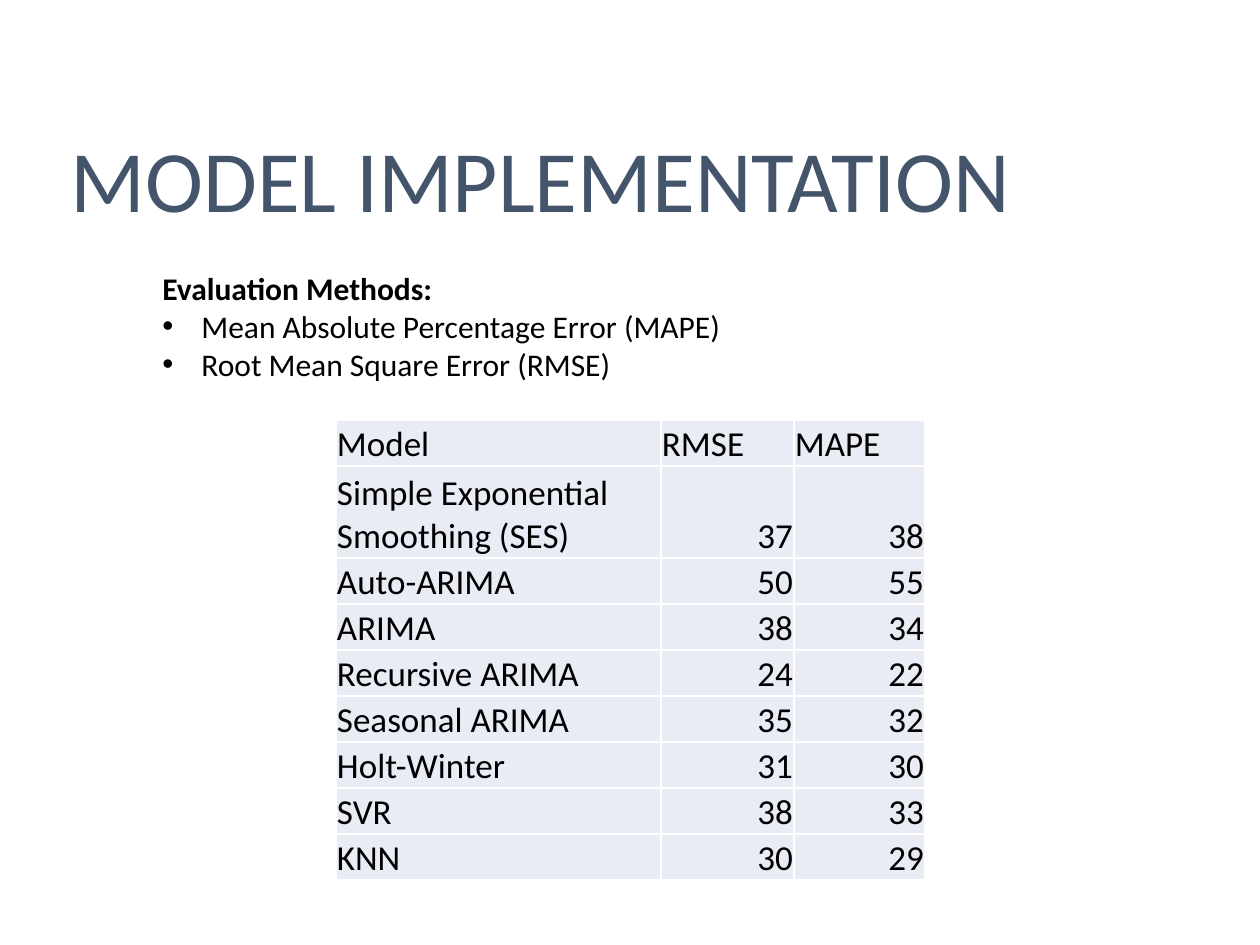
from dataclasses import dataclass

from lxml.etree import SubElement
from pptx import Presentation
from pptx.dml.color import RGBColor
from pptx.enum.text import MSO_ANCHOR, MSO_AUTO_SIZE, PP_ALIGN
from pptx.oxml.ns import qn
from pptx.util import Pt

PX_PER_INCH = 126
FONT = "Calibri"
BLACK, SLATE, WHITE, PALE_BLUE = "000000", "44546A", "FFFFFF", "E9EBF5"


@dataclass
class ModelScore:
    model: str
    rmse: int
    mape: int


SCORES = [
    ModelScore("Simple Exponential \nSmoothing (SES)", 37, 38),
    ModelScore("Auto-ARIMA", 50, 55),
    ModelScore("ARIMA", 38, 34),
    ModelScore("Recursive ARIMA", 24, 22),
    ModelScore("Seasonal ARIMA", 35, 32),
    ModelScore("Holt-Winter", 31, 30),
    ModelScore("SVR", 38, 33),
    ModelScore("KNN", 30, 29),
]
COLUMN_WIDTHS = [325, 133, 131]
LINE_HEIGHT = 46


def px(length: int) -> int:
    return round(length * 914400 / PX_PER_INCH)


def color(value: str) -> RGBColor:
    return RGBColor.from_string(value)


def write(para, text: str, *, size: int, fill: str = BLACK,
          bold: bool = False, align=PP_ALIGN.LEFT) -> None:
    para.text = text
    para.alignment = align
    for span in para.runs:
        span.font.name = FONT
        span.font.size = Pt(size)
        span.font.bold = bold
        span.font.color.rgb = color(fill)


def add_bullet(para, indent: int) -> None:
    properties = para._p.get_or_add_pPr()
    properties.set("marL", str(px(indent)))
    properties.set("indent", str(-px(indent)))
    SubElement(properties, qn("a:buFont"), typeface="Arial")
    SubElement(properties, qn("a:buChar"), char="•")


def add_title(page, text: str) -> None:
    title = page.shapes.title
    title.left, title.top, title.width, title.height = map(px, (58, 116, 1144, 157))
    frame = title.text_frame
    frame.word_wrap = True
    frame.auto_size = MSO_AUTO_SIZE.NONE
    frame.vertical_anchor = MSO_ANCHOR.TOP
    frame.margin_top = px(9)
    write(frame.paragraphs[0], text, size=50, fill=SLATE)


def add_methods(page, heading: str, methods: list[str]) -> None:
    box = page.shapes.add_textbox(px(150), px(263), px(977), px(127))
    frame = box.text_frame
    frame.word_wrap = True
    frame.auto_size = MSO_AUTO_SIZE.SHAPE_TO_FIT_TEXT
    write(frame.paragraphs[0], heading, size=18, bold=True)
    for method in methods:
        para = frame.add_paragraph()
        write(para, method, size=18)
        add_bullet(para, 39)


def add_borders(cell) -> None:
    properties = cell._tc.get_or_add_tcPr()
    for position, side in enumerate(("a:lnL", "a:lnR", "a:lnT", "a:lnB")):
        line = SubElement(properties, qn(side), w=str(Pt(1)))
        fill = SubElement(line, qn("a:solidFill"))
        SubElement(fill, qn("a:srgbClr"), val=WHITE)
        properties.insert(position, line)  # borders precede the cell fill


def format_cell(cell, text: str, align) -> None:
    cell.margin_left = cell.margin_right = cell.margin_top = px(1)
    cell.margin_bottom = 0
    cell.vertical_anchor = MSO_ANCHOR.BOTTOM
    cell.fill.solid()
    cell.fill.fore_color.rgb = color(PALE_BLUE)
    write(cell.text_frame.paragraphs[0], text, size=20, align=align)
    add_borders(cell)


def add_score_table(page, scores: list[ModelScore]) -> None:
    rows = [("Model", "RMSE", "MAPE")]
    rows += [(score.model, score.rmse, score.mape) for score in scores]
    heights = [LINE_HEIGHT * (1 + row[0].count("\n")) for row in rows]
    table = page.shapes.add_table(
        len(rows), len(COLUMN_WIDTHS), px(336), px(420),
        px(sum(COLUMN_WIDTHS)), px(sum(heights))).table
    table.first_row = table.horz_banding = False
    for column, width in zip(table.columns, COLUMN_WIDTHS):
        column.width = px(width)
    for row_index, (row, height) in enumerate(zip(rows, heights)):
        table.rows[row_index].height = px(height)
        for column_index, value in enumerate(row):
            align = PP_ALIGN.RIGHT if isinstance(value, int) else PP_ALIGN.LEFT
            format_cell(table.cell(row_index, column_index), str(value), align)


def main() -> None:
    deck = Presentation()
    deck.slide_width, deck.slide_height = px(1260), px(945)
    page = deck.slides.add_slide(deck.slide_layouts[5])  # title only

    # Heading and evaluation methods
    add_title(page, "MODEL IMPLEMENTATION")
    add_methods(page, "Evaluation Methods:", [
        "Mean Absolute Percentage Error (MAPE)",
        "Root Mean Square Error (RMSE)",
    ])

    # Error of each model
    add_score_table(page, SCORES)
    deck.save("out.pptx")


if __name__ == "__main__":
    main()
